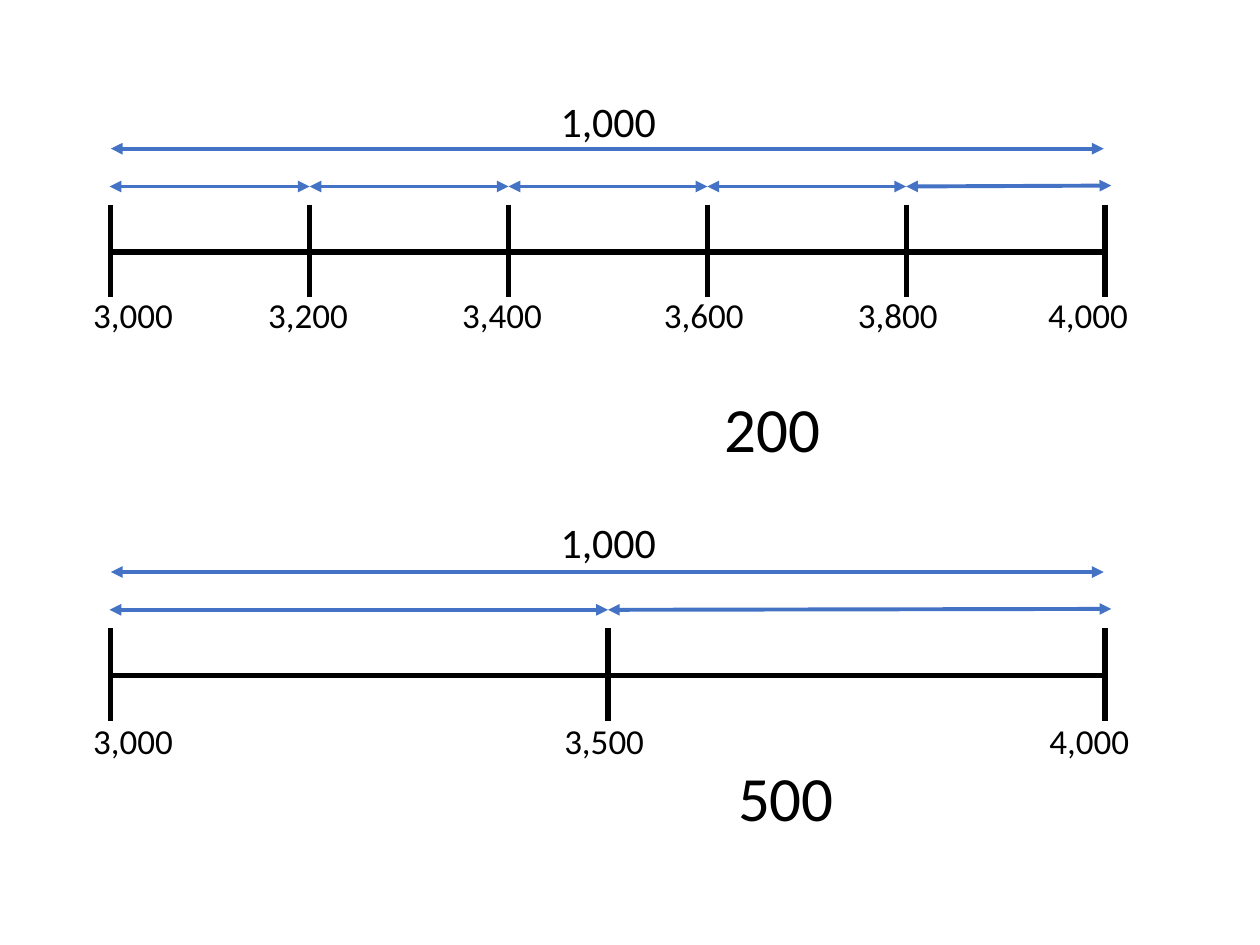
from lxml import etree
from pptx import Presentation
from pptx import util as u
from pptx.dml.color import RGBColor
from pptx.enum import shapes, text
from pptx.oxml import ns

COLORS = {"ink": "000000", "span": "4472C4"}
COLUMNS, ROWS = 100, 75
CELL = u.Inches(10) // COLUMNS
FONT = "Calibri"
START, END = 8.8, 87.7
ARROW_START, ARROW_END = 8.7, 88.2


def cells(count):
    """Turn a number of grid cells into a length."""
    return u.Emu(round(count * CELL))


def add_line(page, start, end, color="ink", weight=3, arrows=False):
    """Draw a straight line between two grid points."""
    line = page.shapes.add_connector(
        shapes.MSO_CONNECTOR.STRAIGHT, *map(cells, (*start, *end))
    )
    line.line.color.rgb = RGBColor.from_string(COLORS[color])
    line.line.width = u.Pt(weight)
    if arrows:
        outline = line.line._get_or_add_ln()
        for tag in ("a:headEnd", "a:tailEnd"):
            etree.SubElement(outline, ns.qn(tag), type="triangle")
    etree.SubElement(line._element.spPr, ns.qn("a:effectLst"))
    return line


def add_span(page, start, end):
    """Draw a double-headed arrow that marks a distance."""
    return add_line(page, start, end, color="span", weight=2.25, arrows=True)


def add_label(page, words, left, top, width=8.9, height=4.4, size=20):
    """Write one line of text in a box on the grid."""
    box = page.shapes.add_textbox(*map(cells, (left, top, width, height)))
    frame = box.text_frame
    frame.word_wrap = True
    frame.auto_size = text.MSO_AUTO_SIZE.SHAPE_TO_FIT_TEXT
    para = frame.paragraphs[0]
    span = para.add_run()
    span.text = words
    span.font.name = FONT
    span.font.size = u.Pt(size)
    span.font.color.rgb = RGBColor.from_string(COLORS["ink"])
    return box


def add_number_line(page, axis, labels, label_top, total_top):
    """Draw a number line with ticks, labels and interval arrows."""
    parts = len(labels) - 1
    ticks = [START + (END - START) * i / parts for i in range(parts + 1)]
    add_line(page, (START, axis), (END, axis))
    for tick in ticks:
        add_line(page, (tick, axis - 3.75), (tick, axis + 3.6))
    for words, left in labels.items():
        add_label(page, words, left, label_top)

    add_span(page, (START, axis - 8.2), (87.6, axis - 8.2))
    add_label(page, "1,000", 43.5, total_top, width=10.2, height=5, size=24)
    stops = [ARROW_START, *ticks[1:-1], ARROW_END]
    for i, (start, end) in enumerate(zip(stops, stops[1:]), 1):
        rise = 0.07 if i == parts else 0
        add_span(page, (start, axis - 5.2), (end, axis - 5.2 - rise))


def add_answer(page, words, left, top):
    """Write the size of one interval in large type."""
    return add_label(page, words, left, top, width=10.4, height=7.1, size=36)


def main():
    """Build the slide with its two number lines."""
    deck = Presentation()
    deck.slide_width, deck.slide_height = cells(COLUMNS), cells(ROWS)
    page = deck.slides.add_slide(deck.slide_layouts[6])

    fifths = {
        "3,000": 6.4, "3,200": 20.3, "3,400": 35.7,
        "3,600": 51.7, "3,800": 67.1, "4,000": 82.2,
    }
    halves = {"3,000": 6.4, "3,500": 43.8, "4,000": 82.3}
    add_number_line(page, 20, fifths, label_top=22.8, total_top=7.1)
    add_answer(page, "200", 56.5, 30.4)
    add_number_line(page, 53.6, halves, label_top=56.6, total_top=40.5)
    add_answer(page, "500", 57.6, 59.7)
    deck.save("out.pptx")


if __name__ == "__main__":
    main()
